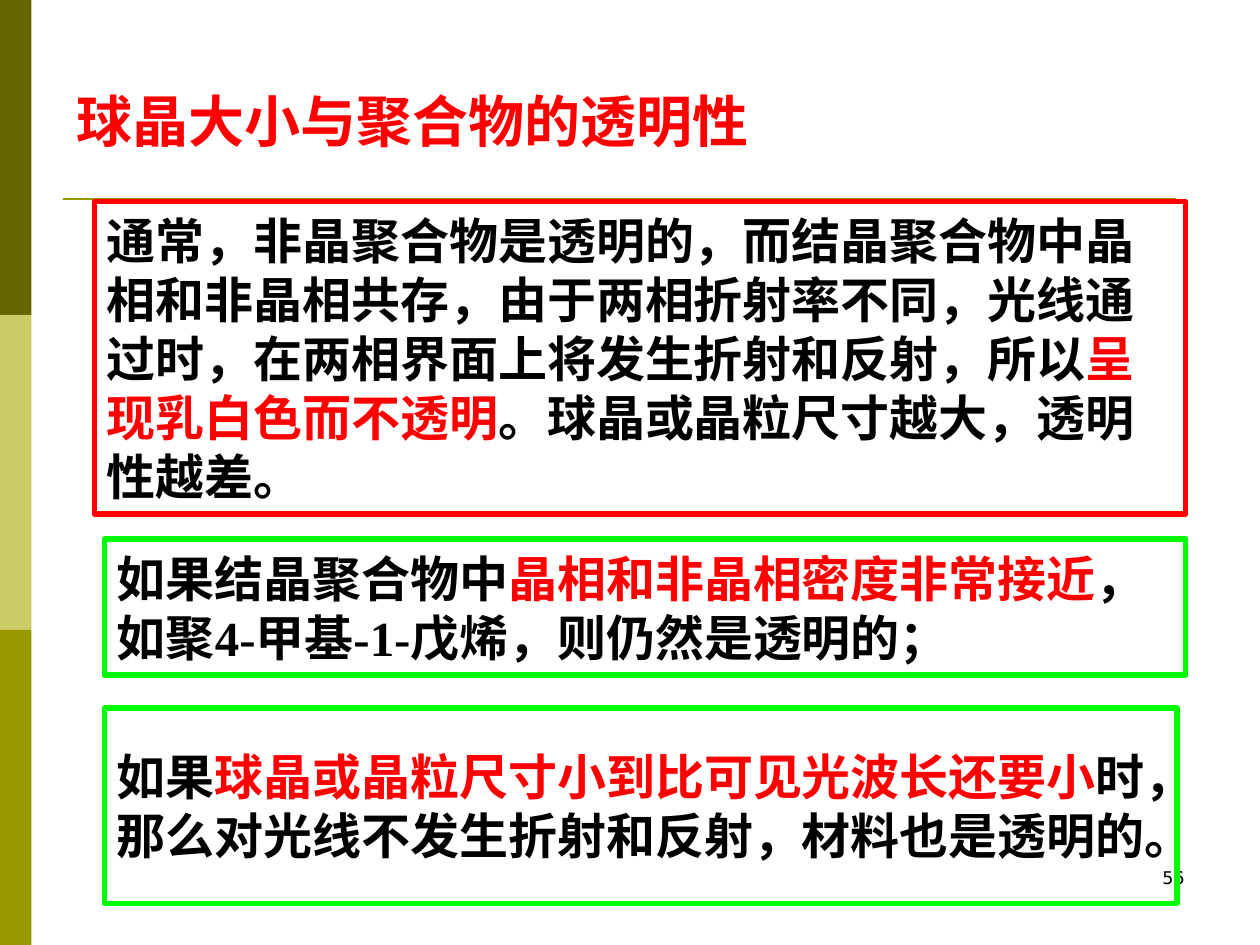
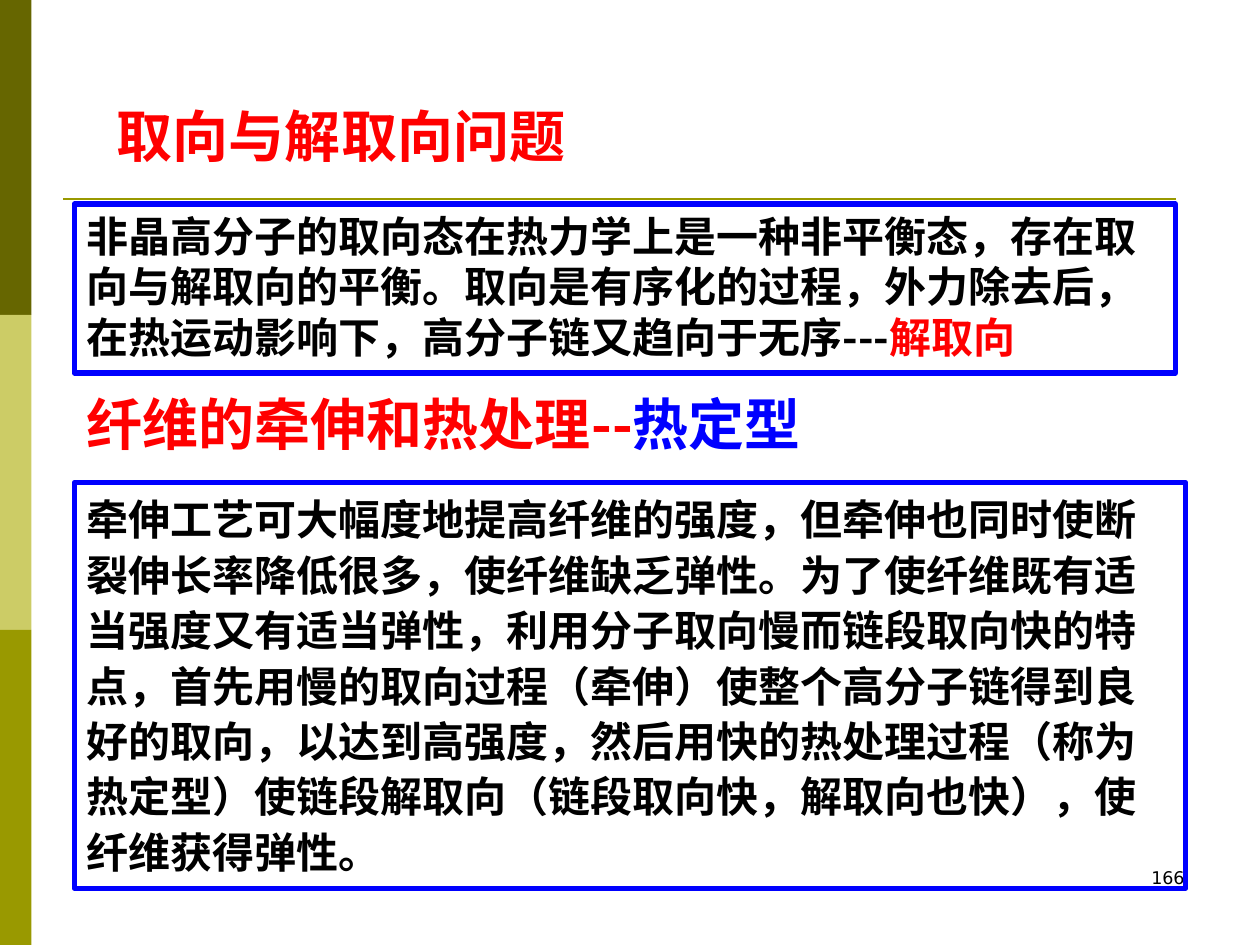
import pptx
import pptx.dml.color
import pptx.enum.shapes
import pptx.enum.text
import pptx.oxml
import pptx.oxml.ns
import pptx.util

PX = 9144
RED, GREEN, BLUE, BLACK = "FF0000", "00FF00", "0000FF", "000000"
OLIVE = "999900"
BANDS = ["666600", "CCCC66", OLIVE]
SANS, SERIF, DIGITS = "Noto Sans CJK SC", "Times New Roman", "DejaVu Sans"
MIDDLE = pptx.enum.text.MSO_ANCHOR.MIDDLE
RECTANGLE = pptx.enum.shapes.MSO_SHAPE.RECTANGLE


def px(*lengths):
    return [pptx.util.Emu(length * PX) for length in lengths]


def colour(value):
    return pptx.dml.color.RGBColor.from_string(value)


def write(shape, spans, size=24, font=SANS, bold=True, align="LEFT",
          anchor=pptx.enum.text.MSO_ANCHOR.TOP, spacing=None, wrap=True):
    frame = shape.text_frame
    frame.word_wrap = wrap
    frame.vertical_anchor = anchor
    para = frame.paragraphs[0]
    para.alignment = getattr(pptx.enum.text.PP_ALIGN, align)
    if spacing:
        para.line_spacing = spacing
    for text, shade in spans:
        span = para.add_run()
        span.text = text
        span.font.size = pptx.util.Pt(size)
        span.font.name = font
        span.font.bold = bold
        span.font.color.rgb = colour(shade)


def add_text(page, box, spans, **style):
    write(page.shapes.add_textbox(*px(*box)), spans, **style)


def add_heading(page, box, spans, wrap=True):
    add_text(page, box, spans, size=32, wrap=wrap)


def add_panel(page, box, edge, width, spans, **style):
    panel = page.shapes.add_shape(RECTANGLE, *px(*box))
    panel.shadow.inherit = False
    panel.fill.background()
    panel.line.color.rgb = colour(edge)
    panel.line.width = pptx.util.Pt(width)
    write(panel, spans, **style)


def add_frame(page, number):
    for index, shade in enumerate(BANDS):
        band = page.shapes.add_shape(RECTANGLE, *px(0, index * 250, 25, 250))
        band.shadow.inherit = False
        band.fill.solid()
        band.fill.fore_color.rgb = colour(shade)
        band.line.fill.background()
    rule = page.shapes.add_connector(
        pptx.enum.shapes.MSO_CONNECTOR.STRAIGHT, *px(50, 158, 933, 158))
    rule.line.color.rgb = colour(OLIVE)
    rule.line.width = pptx.util.Pt(1.5)
    rule._element.spPr.append(pptx.oxml.parse_xml(
        "<a:effectLst %s/>" % pptx.oxml.ns.nsdecls("a")))
    add_text(page, (717, 683, 233, 50), [(number, BLACK)],
             size=10, font=DIGITS, bold=False, align="RIGHT")


def build_transparency(page):
    add_frame(page, "56")
    add_heading(page, (51, 64, 556, 63),
                [("球晶大小与聚合物的透明性", RED)], wrap=False)
    panels = [
        ((75, 160, 866, 248), RED, [
            ("通常，非晶聚合物是透明的，而结晶聚合物中晶相和非晶相共存，"
             "由于两相折射率不同，光线通过时，在两相界面上将发生折射和反射，所以", BLACK),
            ("呈现乳白色而不透明", RED),
            ("。球晶或晶粒尺寸越大，透明性越差。", BLACK)]),
        ((83, 428, 858, 108), GREEN, [
            ("如果结晶聚合物中", BLACK),
            ("晶相和非晶相密度非常接近", RED),
            ("，如聚4-甲基-1-戊烯，则仍然是透明的；", BLACK)]),
        ((83, 562, 851, 155), GREEN, [
            ("如果", BLACK),
            ("球晶或晶粒尺寸小到比可见光波长还要小", RED),
            ("时，那么对光线不发生折射和反射，材料也是透明的。", BLACK)]),
    ]
    for box, edge, spans in panels:
        add_panel(page, box, edge, 3.25, spans,
                  size=28, font=SERIF, anchor=MIDDLE)


def build_orientation(page):
    add_frame(page, "166")
    add_heading(page, (83, 76, 402, 63), [("取向与解取向问题", RED)])
    add_panel(page, (59, 162, 874, 134), BLUE, 3, [
        ("非晶高分子的取向态在热力学上是一种非平衡态，存在取向与解取向的平衡。"
         "取向是有序化的过程，外力除去后，在热运动影响下，高分子链又趋向于无序---", BLACK),
        ("解取向", RED)])
    add_panel(page, (59, 383, 882, 322), BLUE, 3, [
        ("牵伸工艺可大幅度地提高纤维的强度，但牵伸也同时使断裂伸长率降低很多，"
         "使纤维缺乏弹性。为了使纤维既有适当强度又有适当弹性，"
         "利用分子取向慢而链段取向快的特点，首先用慢的取向过程（牵伸）"
         "使整个高分子链得到良好的取向，以达到高强度，"
         "然后用快的热处理过程（称为热定型）使链段解取向"
         "（链段取向快，解取向也快），使纤维获得弹性。", BLACK)], spacing=1.1)
    add_heading(page, (59, 304, 654, 63),
                [("纤维的牵伸和热处理--", RED), ("热定型", BLUE)])


def main():
    deck = pptx.Presentation()
    deck.slide_width, deck.slide_height = px(1000, 750)
    for build in (build_transparency, build_orientation):
        build(deck.slides.add_slide(deck.slide_layouts[6]))
    deck.save("out.pptx")


if __name__ == "__main__":
    main()
